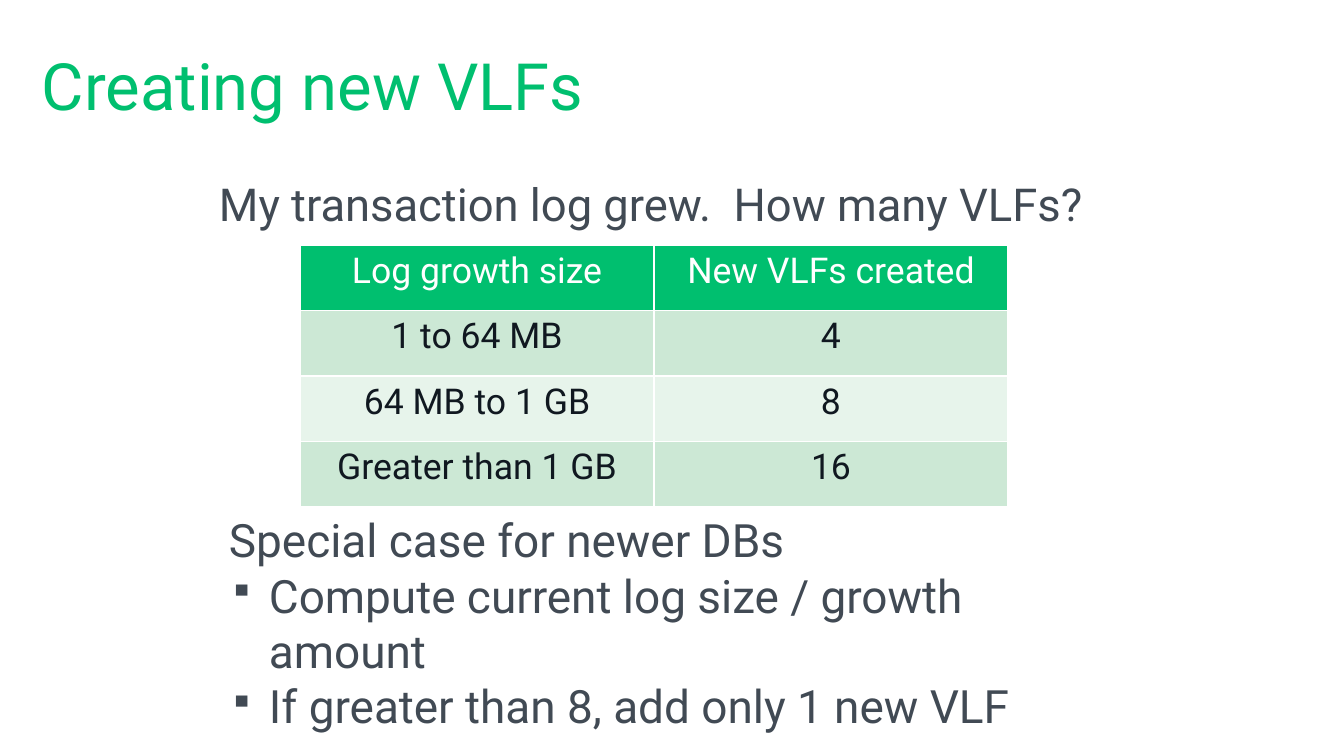
from lxml.etree import SubElement
from pptx import Presentation
from pptx.dml.color import RGBColor
from pptx.enum.text import MSO_ANCHOR as Anchor, MSO_AUTO_SIZE as AutoSize, PP_ALIGN as Align
from pptx.oxml import parse_xml
from pptx.oxml.ns import nsdecls, qn
from pptx.util import Pt

TITLE = "Creating new VLFs"
QUESTION = "My transaction log grew.  How many VLFs?"
GROWTH_TABLE = [
    ("Log growth size", "New VLFs created"),
    ("1 to 64 MB", "4"),
    ("64 MB to 1 GB", "8"),
    ("Greater than 1 GB", "16"),
]
SPECIAL_CASE = "Special case for newer DBs"
SPECIAL_RULES = ["Compute current log size / growth amount", "If greater than 8, add only 1 new VLF"]

FONT = "Roboto"
GREEN = RGBColor(0x00, 0xBF, 0x6F)
SLATE = RGBColor(0x41, 0x4A, 0x54)
INK = RGBColor(0x10, 0x18, 0x20)
WHITE = RGBColor(0xFF, 0xFF, 0xFF)
BANDS = [RGBColor(0xE7, 0xF4, 0xEB), RGBColor(0xCC, 0xE8, 0xD5)]

EMU_PER_PX = 8572.5
SLIDE_SIZE = (1344, 756)
TITLE_BOX = (42, 42, 1260, 84)
QUESTION_BOX = (219, 176, 907, 58)
TABLE_BOX = (300, 245, 708, 262)
SPECIAL_BOX = (219, 507, 907, 228)
BULLET_INDENT = 40
BULLET_SIZE = "75000"


def px(*lengths):
    """Turn px lengths into EMU."""
    return [round(length * EMU_PER_PX) for length in lengths]


def write(paragraph, text, *, size, color, align=Align.LEFT, bullet=None):
    """Write one formatted paragraph, with an optional bullet."""
    paragraph.alignment = align
    paragraph.space_before = Pt(0)
    run = paragraph.add_run()
    run.text = text
    run.font.name = FONT
    run.font.size = Pt(size)
    run.font.color.rgb = color
    if bullet:
        properties = paragraph._p.get_or_add_pPr()
        indent = px(BULLET_INDENT)[0]
        properties.set("marL", str(indent))
        properties.set("indent", str(-indent))
        SubElement(properties, qn("a:buSzPct")).set("val", BULLET_SIZE)
        SubElement(properties, qn("a:buChar")).set("char", bullet)


def set_insets(frame, horizontal, vertical):
    """Set the text insets in px."""
    frame.margin_left, frame.margin_right = px(horizontal, horizontal)
    frame.margin_top, frame.margin_bottom = px(vertical, vertical)


def add_text_box(slide, box, horizontal=0, vertical=0):
    """Add a wrapping text box and return its frame."""
    frame = slide.shapes.add_textbox(*px(*box)).text_frame
    frame.word_wrap = True
    set_insets(frame, horizontal, vertical)
    return frame


def set_borders(cell, width):
    """Give a cell white borders, with the width in points."""
    properties = cell._tc.get_or_add_tcPr()
    for index, side in enumerate("LRTB"):
        properties.insert(index, parse_xml(
            f'<a:ln{side} {nsdecls("a")} w="{Pt(width)}"><a:solidFill>'
            f'<a:srgbClr val="{WHITE}"/></a:solidFill></a:ln{side}>'))


def add_growth_table(slide):
    """Add the table of growth sizes and new VLFs."""
    row_count, column_count = len(GROWTH_TABLE), len(GROWTH_TABLE[0])
    table = slide.shapes.add_table(row_count, column_count, *px(*TABLE_BOX)).table
    for row, texts in enumerate(GROWTH_TABLE):
        header = row == 0
        for column, text in enumerate(texts):
            cell = table.cell(row, column)
            cell.fill.solid()
            cell.fill.fore_color.rgb = GREEN if header else BANDS[row % 2]
            set_borders(cell, 1)
            write(cell.text_frame.paragraphs[0], text, size=24,
                  color=WHITE if header else INK, align=Align.CENTER)


def main():
    """Build the slide and save it."""
    presentation = Presentation()
    presentation.slide_width, presentation.slide_height = px(*SLIDE_SIZE)
    slide = presentation.slides.add_slide(presentation.slide_layouts[5])

    title = slide.shapes.title
    title.left, title.top, title.width, title.height = px(*TITLE_BOX)
    title.text_frame.auto_size = AutoSize.NONE
    title.text_frame.vertical_anchor = Anchor.MIDDLE
    set_insets(title.text_frame, 0, 0)
    write(title.text_frame.paragraphs[0], TITLE, size=44, color=GREEN)

    question = add_text_box(slide, QUESTION_BOX)
    write(question.paragraphs[0], QUESTION, size=30.6, color=SLATE)

    add_growth_table(slide)

    special = add_text_box(slide, SPECIAL_BOX, 10, 5)
    write(special.paragraphs[0], SPECIAL_CASE, size=31, color=SLATE)
    for rule in SPECIAL_RULES:
        write(special.add_paragraph(), rule, size=31, color=SLATE, bullet="▪")

    presentation.save("out.pptx")


if __name__ == "__main__":
    main()
